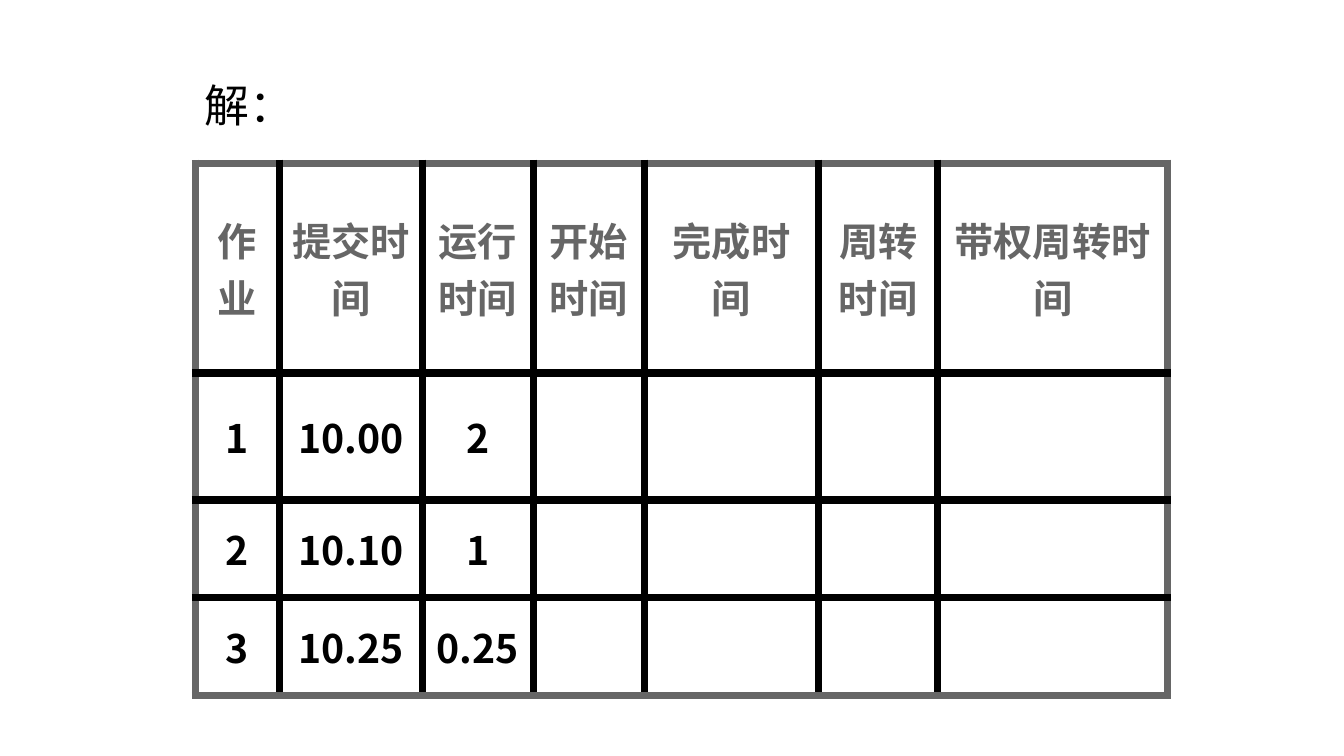
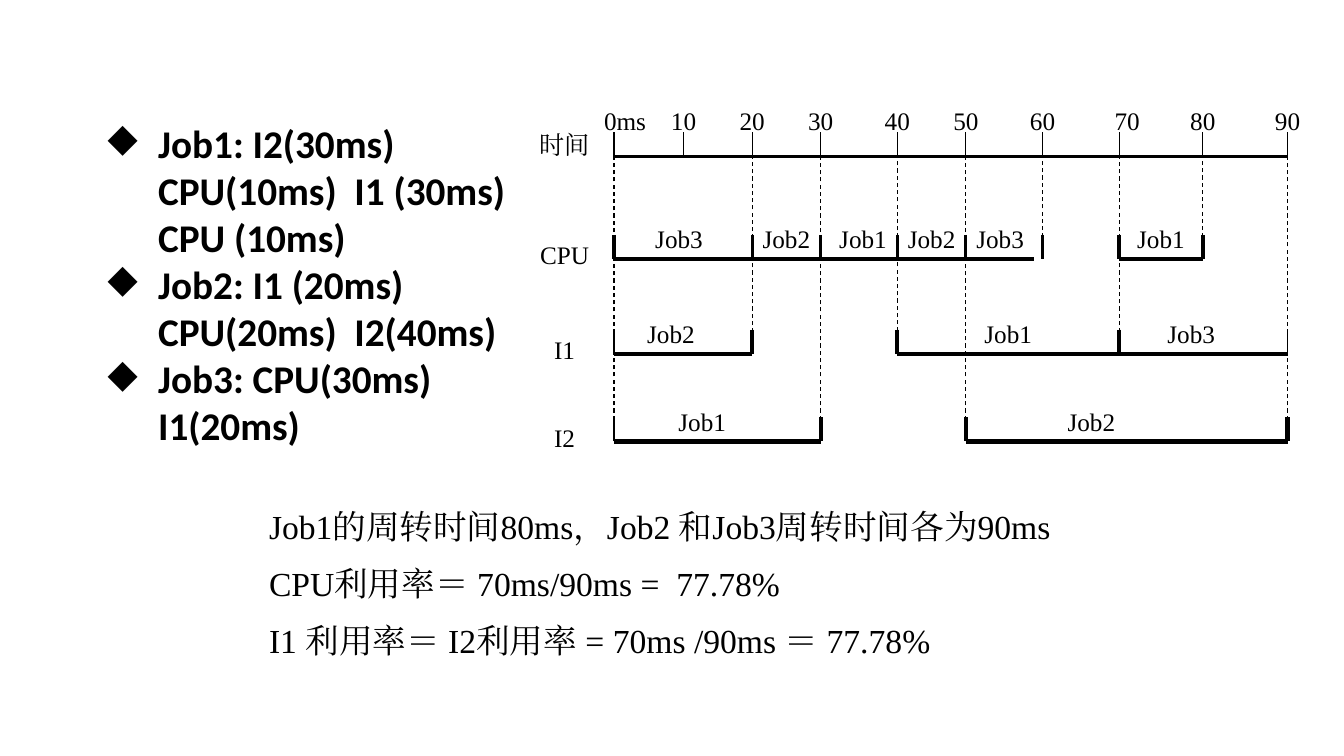
from dataclasses import dataclass
from typing import Optional

from lxml.etree import SubElement
from pptx import Presentation
from pptx.dml.color import RGBColor
from pptx.enum.dml import MSO_LINE
from pptx.enum.shapes import MSO_CONNECTOR
from pptx.enum.text import MSO_ANCHOR as Anchor, MSO_AUTO_SIZE as AutoSize, PP_ALIGN as Align
from pptx.oxml.ns import qn
from pptx.util import Inches, Pt

COLORS = {"ink": "000000", "frame": "666666"}
BORDER_PT = 6
TIMES = "Times New Roman"


@dataclass(frozen=True)
class TextStyle:
    font: str
    size: float
    bold: bool = False
    color: str = "ink"
    align: Align = Align.LEFT


@dataclass(frozen=True)
class Tick:
    time: int
    x: float
    drop: Optional[float]
    label_shift: float = 0
    unit: str = ""


@dataclass(frozen=True)
class Job:
    name: str
    start: int
    end: int
    shift: float = 0


@dataclass(frozen=True)
class Bar:
    start: int
    end: int
    trim: float = 0


@dataclass(frozen=True)
class Lane:
    name: str
    base: float
    bars: tuple[Bar, ...]
    jobs: tuple[Job, ...]
    marks: dict[int, float]


TITLE = TextStyle("DejaVu Sans", 32, align=Align.CENTER)
HEADER = TextStyle("Noto Sans CJK SC", 28, True, "frame", Align.CENTER)
ENTRY = TextStyle("Noto Sans CJK SC", 28, True, align=Align.CENTER)
BULLET = TextStyle("Calibri", 28, True)
RESULT = TextStyle(TIMES, 24)
LABEL = TextStyle(TIMES, 18, align=Align.CENTER)

COLUMN_WIDTHS = (0.83, 1.42, 1.1, 1.1, 1.73, 1.18, 2.28)
ROW_HEIGHTS = (2.08, 1.26, 0.97, 0.97)
SCHEDULE = (
    ("作业", "提交时间", "运行时间", "开始时间", "完成时间", "周转时间", "带权周转时间"),
    ("1", "10.00", "2", "", "", "", ""),
    ("2", "10.10", "1", "", "", "", ""),
    ("3", "10.25", "0.25", "", "", "", ""),
)

JOB_STEPS = (
    "Job1: I2(30ms)  CPU(10ms)  I1 (30ms)  CPU (10ms)",
    "Job2: I1 (20ms)  CPU(20ms)  I2(40ms)",
    "Job3: CPU(30ms)  I1(20ms)",
)
RESULTS = (
    "Job1的周转时间80ms，Job2 和Job3周转时间各为90ms",
    "CPU利用率＝ 70ms/90ms =  77.78%",
    "I1 利用率＝ I2利用率 = 70ms /90ms ＝ 77.78%",
)

AXIS_Y = 1.55
MARK_HEIGHT = 0.24
LABEL_WIDTH, LABEL_HEIGHT = 0.83, 0.4
LANE_NAME_X = 5.6
TICKS = (
    Tick(0, 6.09, 4.38, 0.11, "ms"),
    Tick(10, 6.78, None),
    Tick(20, 7.46, 3.44),
    Tick(30, 8.14, 4.38),
    Tick(40, 8.9, 3.36),
    Tick(50, 9.58, 4.38),
    Tick(60, 10.34, 2.57),
    Tick(70, 11.1, 3.44, 0.08),
    Tick(80, 11.93, 2.57),
    Tick(90, 12.77, 4.38),
)
TIME_X = {tick.time: tick.x for tick in TICKS}
LANES = (
    Lane("CPU", 2.57, (Bar(0, 60, 0.08), Bar(70, 80)),
         (Job("Job3", 0, 20, -0.04), Job("Job2", 20, 30), Job("Job1", 30, 40, 0.04),
          Job("Job2", 40, 50), Job("Job3", 50, 60, -0.04), Job("Job1", 70, 80)),
         {0: 2.25, 20: 2.25, 30: 2.25, 40: 2.25, 50: 2.25, 60: 2.25, 70: 3, 80: 3}),
    Lane("I1", 3.51, (Bar(0, 20), Bar(40, 90)),
         (Job("Job2", 0, 20, -0.12), Job("Job1", 40, 70), Job("Job3", 70, 90, -0.12)),
         {0: 0.75, 20: 3, 40: 3, 70: 3, 90: 0.75}),
    Lane("I2", 4.38, (Bar(0, 30), Bar(50, 90)),
         (Job("Job1", 0, 30, -0.15), Job("Job2", 50, 90, -0.35)),
         {0: 0.75, 30: 3, 50: 3, 90: 3}),
)


def style_paragraph(paragraph, style: TextStyle) -> None:
    paragraph.alignment = style.align
    for run in paragraph.runs:
        run.font.name = style.font
        run.font.size = Pt(style.size)
        run.font.bold = style.bold
        run.font.color.rgb = RGBColor.from_string(COLORS[style.color])
        SubElement(run._r.get_or_add_rPr(), qn("a:ea"), typeface=style.font)


def add_text(slide, lines: tuple[str, ...], left: float, top: float, width: float,
             height: float, style: TextStyle, gap: float = 0):
    """Add a text box with one paragraph per line, gap points apart."""
    box = slide.shapes.add_textbox(Inches(left), Inches(top), Inches(width), Inches(height))
    frame = box.text_frame
    frame.word_wrap = True
    frame.auto_size = AutoSize.SHAPE_TO_FIT_TEXT
    frame.text = "\n".join(lines)
    for index, paragraph in enumerate(frame.paragraphs):
        if index and gap:
            paragraph.space_before = Pt(gap)
        style_paragraph(paragraph, style)
    return frame


def add_label(slide, text: str, center: float, top: float) -> None:
    add_text(slide, (text,), center - LABEL_WIDTH / 2, top, LABEL_WIDTH, LABEL_HEIGHT, LABEL)


def add_line(slide, x1: float, y1: float, x2: float, y2: float, weight: float,
             dashed: bool = False) -> None:
    line = slide.shapes.add_connector(
        MSO_CONNECTOR.STRAIGHT, Inches(x1), Inches(y1), Inches(x2), Inches(y2))
    line.line.color.rgb = RGBColor.from_string(COLORS["ink"])
    line.line.width = Pt(weight)
    if dashed:
        line.line.dash_style = MSO_LINE.DASH
    SubElement(line._element.spPr, qn("a:effectLst"))


def set_borders(cell, row: int, column: int) -> None:
    """Draw inner edges in ink and the outer edges in the frame colour."""
    outer_edges = {
        "lnL": column == 0,
        "lnR": column == len(COLUMN_WIDTHS) - 1,
        "lnT": row == 0,
        "lnB": row == len(ROW_HEIGHTS) - 1,
    }
    properties = cell._tc.get_or_add_tcPr()
    for edge, is_outer in outer_edges.items():
        border = SubElement(properties, qn(f"a:{edge}"), w=str(Pt(BORDER_PT)))
        fill = SubElement(border, qn("a:solidFill"))
        SubElement(fill, qn("a:srgbClr"), val=COLORS["frame" if is_outer else "ink"])


def add_schedule(slide) -> None:
    table = slide.shapes.add_table(
        len(ROW_HEIGHTS), len(COLUMN_WIDTHS), Inches(1.94), Inches(1.62),
        Inches(sum(COLUMN_WIDTHS)), Inches(sum(ROW_HEIGHTS))).table
    table.first_row = table.horz_banding = False
    for column, width in zip(table.columns, COLUMN_WIDTHS):
        column.width = Inches(width)
    for row, height in zip(table.rows, ROW_HEIGHTS):
        row.height = Inches(height)
    for row_index, entries in enumerate(SCHEDULE):
        for column_index, entry in enumerate(entries):
            cell = table.cell(row_index, column_index)
            cell.text = entry
            cell.vertical_anchor = Anchor.MIDDLE
            set_borders(cell, row_index, column_index)
            cell.fill.background()
            style_paragraph(cell.text_frame.paragraphs[0], ENTRY if row_index else HEADER)


def add_job_steps(slide) -> None:
    frame = add_text(slide, JOB_STEPS, 0.47, 1.13, 5.11, 3.4, BULLET)
    for paragraph in frame.paragraphs:
        properties = paragraph._p.get_or_add_pPr()
        properties.set("lvl", "1")
        properties.set("marL", str(Inches(1)))
        properties.set("indent", str(Inches(-0.5)))
        SubElement(properties, qn("a:buChar"), char="◆")


def add_axis(slide) -> None:
    add_label(slide, "时间", LANE_NAME_X, 1.23)
    add_line(slide, TICKS[0].x, AXIS_Y, TICKS[-1].x, AXIS_Y, 2.25)
    for tick in TICKS:
        add_line(slide, tick.x, AXIS_Y - MARK_HEIGHT, tick.x, AXIS_Y, 0.75)
        add_label(slide, f"{tick.time}{tick.unit}", tick.x + tick.label_shift, 1)
        if tick.drop:
            add_line(slide, tick.x, tick.drop, tick.x, AXIS_Y, 0.75, dashed=True)


def add_lane(slide, lane: Lane) -> None:
    add_label(slide, lane.name, LANE_NAME_X, lane.base - MARK_HEIGHT)
    for bar in lane.bars:
        add_line(slide, TIME_X[bar.start], lane.base, TIME_X[bar.end] - bar.trim, lane.base, 3)
    for time, weight in lane.marks.items():
        add_line(slide, TIME_X[time], lane.base - MARK_HEIGHT, TIME_X[time], lane.base, weight)
    for job in lane.jobs:
        middle = (TIME_X[job.start] + TIME_X[job.end]) / 2
        add_label(slide, job.name, middle + job.shift, lane.base - LABEL_HEIGHT)


def build_schedule_slide(slide) -> None:
    add_schedule(slide)
    heading = add_text(slide, ("解：",), 2.03, 0.77, 0.89, 0.54, TITLE)
    heading.word_wrap = False
    heading.margin_left = heading.margin_right = Inches(0)
    heading.margin_top = heading.margin_bottom = Inches(0)


def build_timeline_slide(slide) -> None:
    add_text(slide, RESULTS, 2.57, 4.97, 8.43, 1.72, RESULT, gap=12)
    add_axis(slide)
    for lane in LANES:
        add_lane(slide, lane)
    add_job_steps(slide)


def main() -> None:
    deck = Presentation()
    deck.slide_width, deck.slide_height = Inches(13.33), Inches(7.5)
    blank = deck.slide_layouts[6]
    for build in (build_schedule_slide, build_timeline_slide):
        build(deck.slides.add_slide(blank))
    deck.save("out.pptx")


if __name__ == "__main__":
    main()
